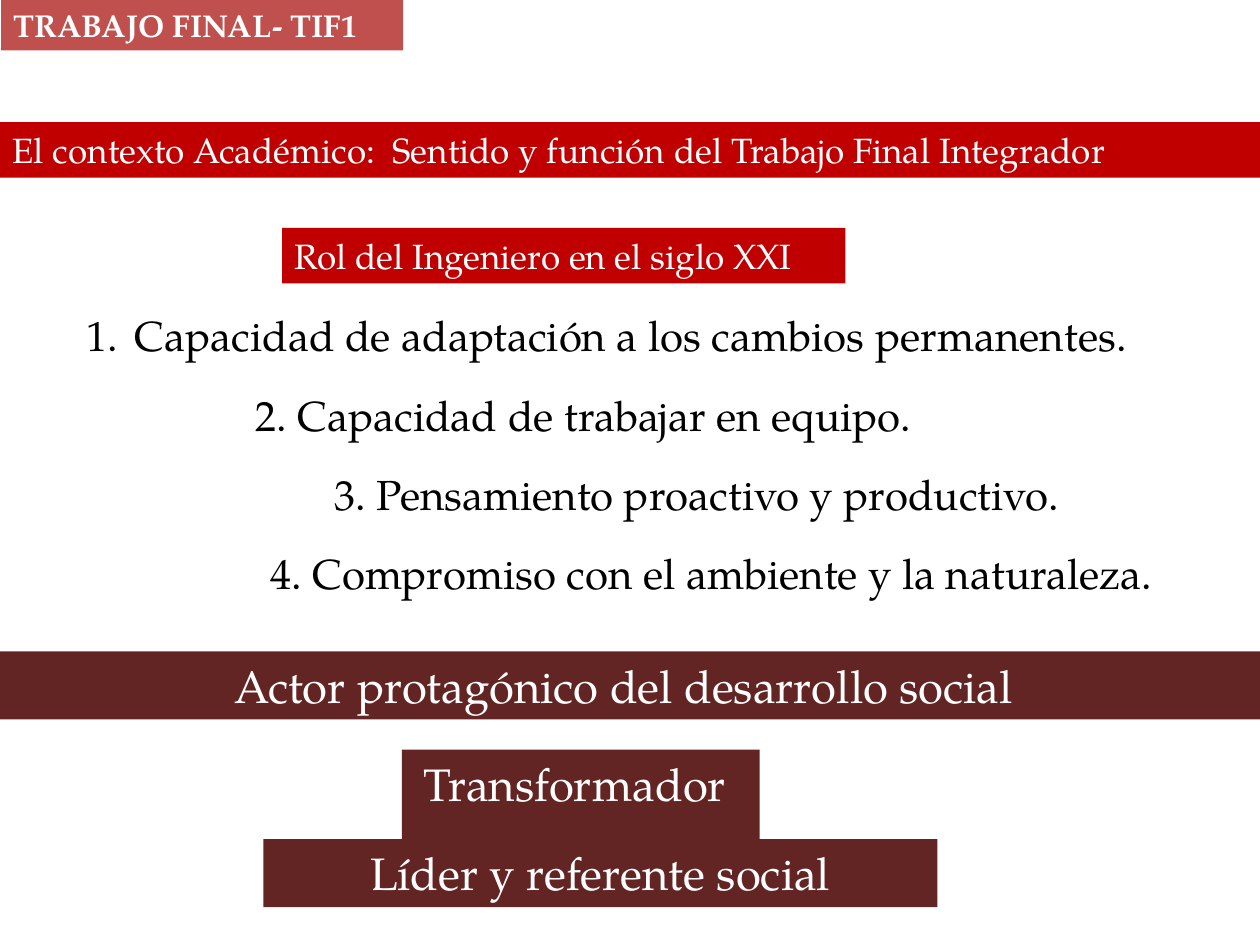
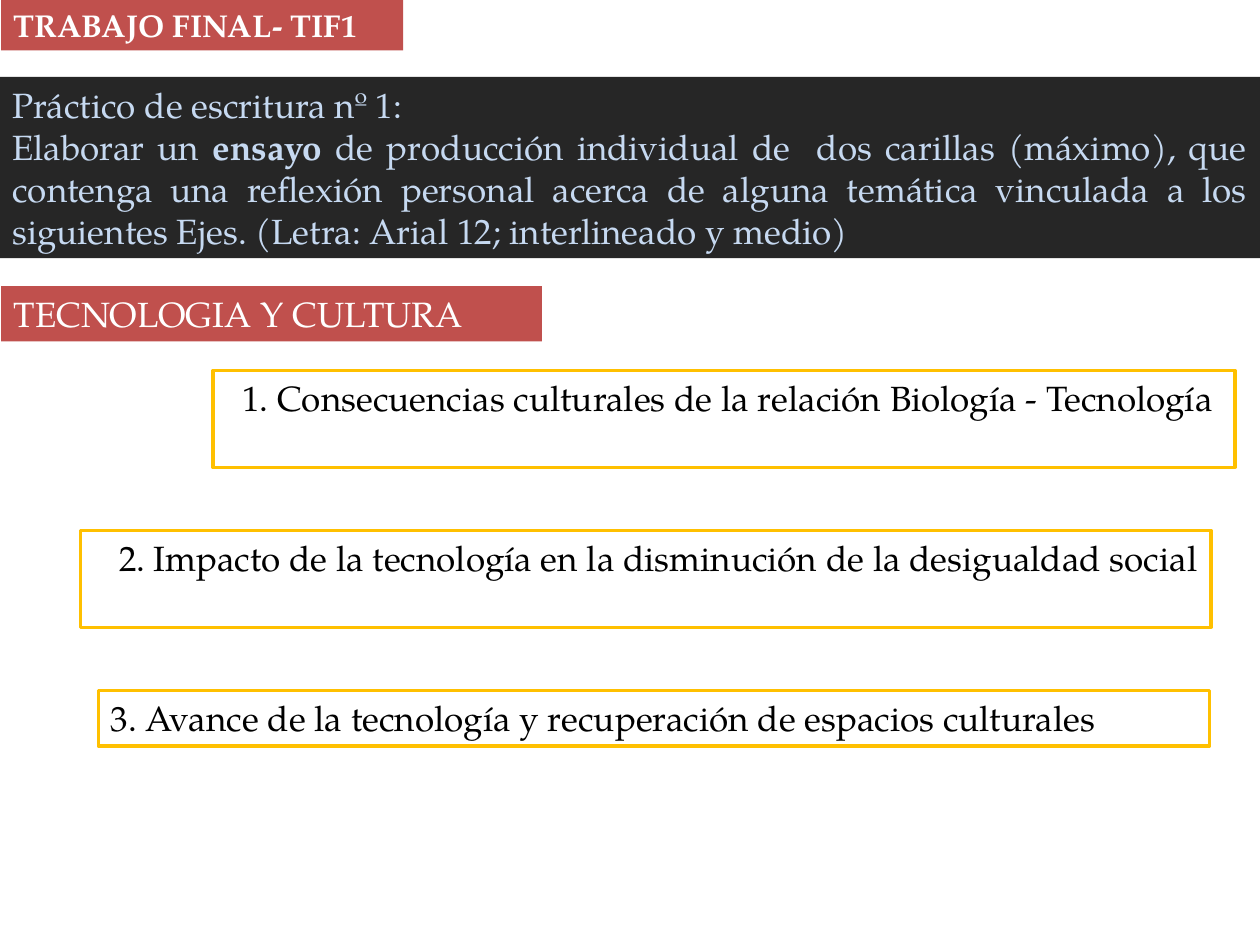
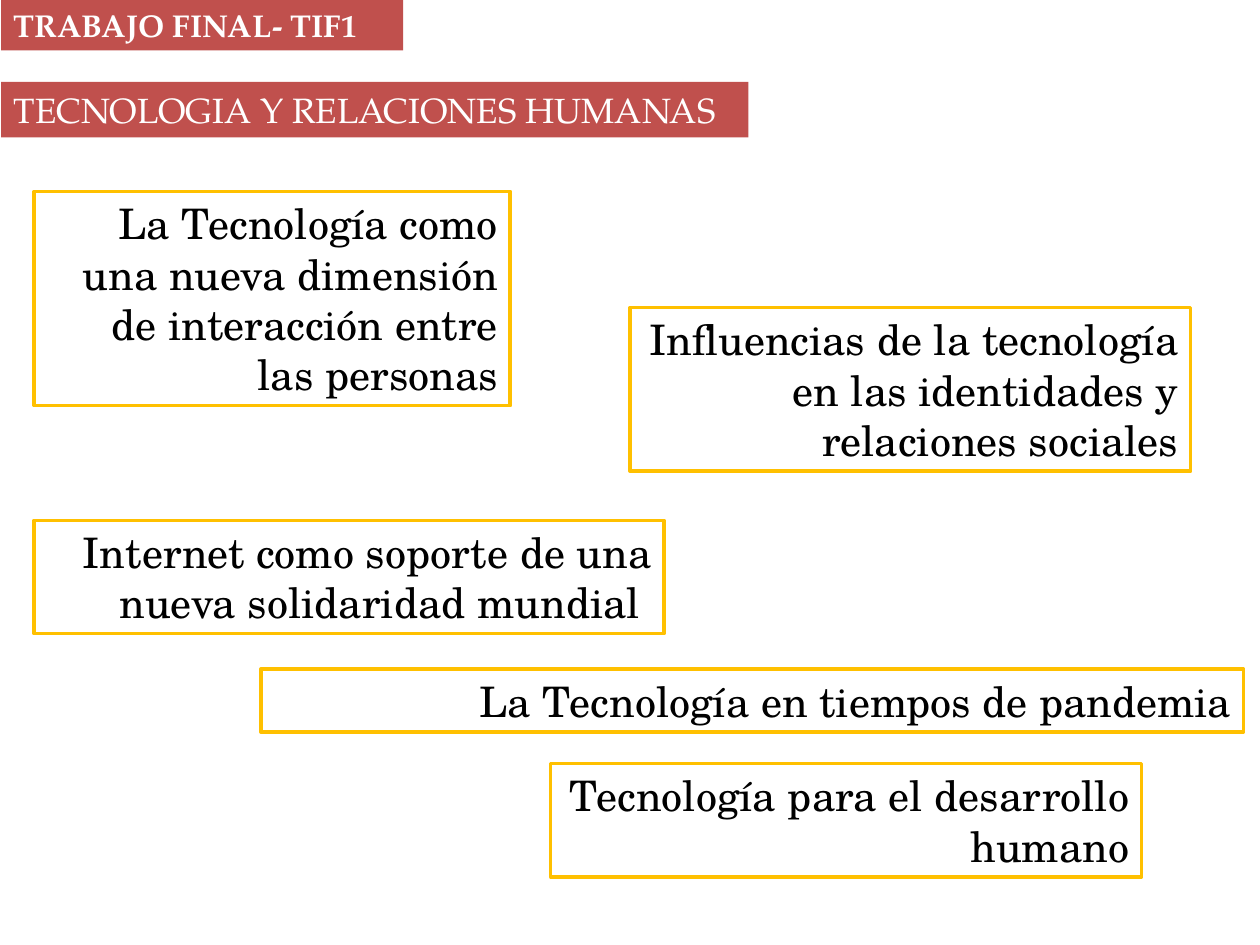
from lxml import etree
from pptx import Presentation
from pptx.dml.color import RGBColor
from pptx.enum.shapes import MSO_SHAPE
from pptx.enum.text import MSO_ANCHOR, MSO_AUTO_SIZE, PP_ALIGN
from pptx.oxml.ns import qn
from pptx.util import Inches, Pt

RECT = MSO_SHAPE.RECTANGLE
TOP = MSO_ANCHOR.TOP
FIXED = MSO_AUTO_SIZE.NONE
LEFT, MID, RIGHT, FULL = PP_ALIGN.LEFT, PP_ALIGN.CENTER, PP_ALIGN.RIGHT, PP_ALIGN.JUSTIFY

SERIF = "TeX Gyre Pagella"
SCHOOL = "TeX Gyre Schola"
COLORS = {
    "white": "FFFFFF",
    "black": "000000",
    "red": "C00000",
    "rose": "C0504D",
    "wine": "632523",
    "gold": "FFC000",
    "coal": "262626",
    "sky": "C6D9F1",
}


def color(name):
    """Return the named colour."""
    return RGBColor.from_string(COLORS[name])


def write(shape, text, size=20, font=SERIF, ink="black", bold=False, align=LEFT, last=None):
    """Write lines of text, with bold words between asterisks."""
    frame = shape.text_frame
    frame.word_wrap = True
    frame.auto_size = FIXED
    frame.vertical_anchor = TOP
    lines = text.split("\n")
    for index, line in enumerate(lines):
        para = frame.add_paragraph() if index else frame.paragraphs[0]
        para.alignment = last if last and index == len(lines) - 1 else align
        for part, words in enumerate(line.split("*")):
            run = para.add_run()
            run.text = words
            run.font.name = font
            run.font.size = Pt(size)
            run.font.bold = bold or part % 2 == 1
            run.font.color.rgb = color(ink)


def place(shape, box):
    """Move a shape to a box given in inches."""
    shape.left, shape.top, shape.width, shape.height = map(Inches, box)


def panel(slide, box, text, fill=None, line=None, **style):
    """Add a filled or outlined rectangle with text."""
    shape = slide.shapes.add_shape(RECT, *map(Inches, box))
    shape.shadow.inherit = False
    if fill:
        shape.fill.solid()
        shape.fill.fore_color.rgb = color(fill)
    else:
        shape.fill.background()
    if line:
        shape.line.color.rgb = color(line)
        shape.line.width = Pt(2)
    else:
        shape.line.fill.background()
    write(shape, text, **style)


def start(deck, box, title, fill="rose"):
    """Add a slide with the course tag and a title band."""
    slide = deck.slides.add_slide(deck.slide_layouts[5])
    band = slide.shapes.title
    place(band, box)
    band.fill.solid()
    band.fill.fore_color.rgb = color(fill)
    write(band, title, ink="white")
    panel(slide, (0.01, 0, 3.19, 0.4), "TRABAJO FINAL- TIF1",
          fill="rose", size=18, ink="white", bold=True)
    return slide


def number(para):
    """Give a paragraph an automatic number and a hanging indent."""
    props = para._p.get_or_add_pPr()
    props.set("marL", str(Inches(0.38)))
    props.set("indent", str(-Inches(0.38)))
    etree.SubElement(props, qn("a:buFont"), typeface="+mj-lt")
    etree.SubElement(props, qn("a:buAutoNum"), type="arabicPeriod")


def skills(slide, top, step):
    """Stack the staggered skills at an equal step."""
    items = [
        (0.59, 9.21, "Capacidad de adaptación a los cambios permanentes."),
        (1.93, 5.83, "2. Capacidad de trabajar en equipo."),
        (2.56, 6.14, "3. Pensamiento proactivo y productivo."),
        (2.05, 7.95, "4. Compromiso con el ambiente y la naturaleza."),
    ]
    for index, (left, width, text) in enumerate(items):
        box = (left, top + index * step, width, 0.5)
        shape = slide.shapes.add_textbox(*map(Inches, box))
        if index == 0:
            number(shape.text_frame.paragraphs[0])
        write(shape, text, size=24)


def role(deck):
    """Build the slide on the role of the engineer."""
    slide = start(deck, (0, 0.97, 10, 0.44),
                  "El contexto Académico:  Sentido y función del Trabajo Final Integrador", "red")
    panel(slide, (2.24, 1.81, 4.47, 0.44), "Rol del Ingeniero en el siglo XXI",
          fill="red", ink="white", align=FULL)
    skills(slide, 2.41, 0.63)
    goals = [
        ((3.19, 5.95, 2.84, 0.97), "Transformador "),
        ((0, 5.17, 10, 0.54), "Actor protagónico del desarrollo social "),
        ((2.09, 6.66, 5.35, 0.54), "Líder y referente social"),
    ]
    for box, text in goals:
        panel(slide, box, text, fill="wine", size=26, ink="white", align=MID)


def essay(deck):
    """Build the slide with the writing task and its first axis."""
    slide = start(deck, (0.01, 2.27, 4.29, 0.44), "TECNOLOGIA Y CULTURA")
    task = (
        "Práctico de escritura nº 1:\n"
        "Elaborar un *ensayo* de producción individual de  dos carillas (máximo), "
        "que contenga una reflexión personal acerca de alguna temática vinculada "
        "a los siguientes Ejes. (Letra: Arial 12; interlineado y medio)"
    )
    panel(slide, (0, 0.61, 10, 1.44), task, fill="coal", ink="sky", last=FULL)
    topics = [
        (1.69, 8.11, 0.77, RIGHT,
         "1. Consecuencias culturales de la relación Biología - Tecnología "),
        (0.64, 8.97, 0.77, RIGHT,
         "2. Impacto de la tecnología en la disminución de la desigualdad social"),
        (0.78, 8.82, 0.44, FULL,
         "3. Avance de la tecnología y recuperación de espacios culturales"),
    ]
    for index, (left, width, height, align, text) in enumerate(topics):
        box = (left, 2.94 + index * 1.27, width, height)
        panel(slide, box, text, line="gold", align=align)


def bonds(deck):
    """Build the slide on technology and human relations."""
    slide = start(deck, (0.01, 0.65, 5.93, 0.44), "TECNOLOGIA Y RELACIONES HUMANAS")
    topics = [
        ((5, 2.44, 4.45, 1.3),
         "Influencias de la tecnología en las identidades y relaciones sociales"),
        ((0.27, 1.52, 3.78, 1.7),
         "La Tecnología como una nueva dimensión de interacción entre las personas"),
        ((0.27, 4.13, 5, 0.9), "Internet como soporte de una nueva solidaridad mundial "),
        ((2.07, 5.31, 7.8, 0.5), "La Tecnología en tiempos de pandemia"),
        ((4.37, 6.06, 4.69, 0.9), "Tecnología para el desarrollo humano"),
    ]
    for box, text in topics:
        panel(slide, box, text, line="gold", size=24, font=SCHOOL, align=RIGHT)


def main():
    """Build and save the deck."""
    deck = Presentation()
    deck.slide_width, deck.slide_height = Inches(10), Inches(7.5)
    for build in (role, essay, bonds):
        build(deck)
    deck.save("out.pptx")


if __name__ == "__main__":
    main()
